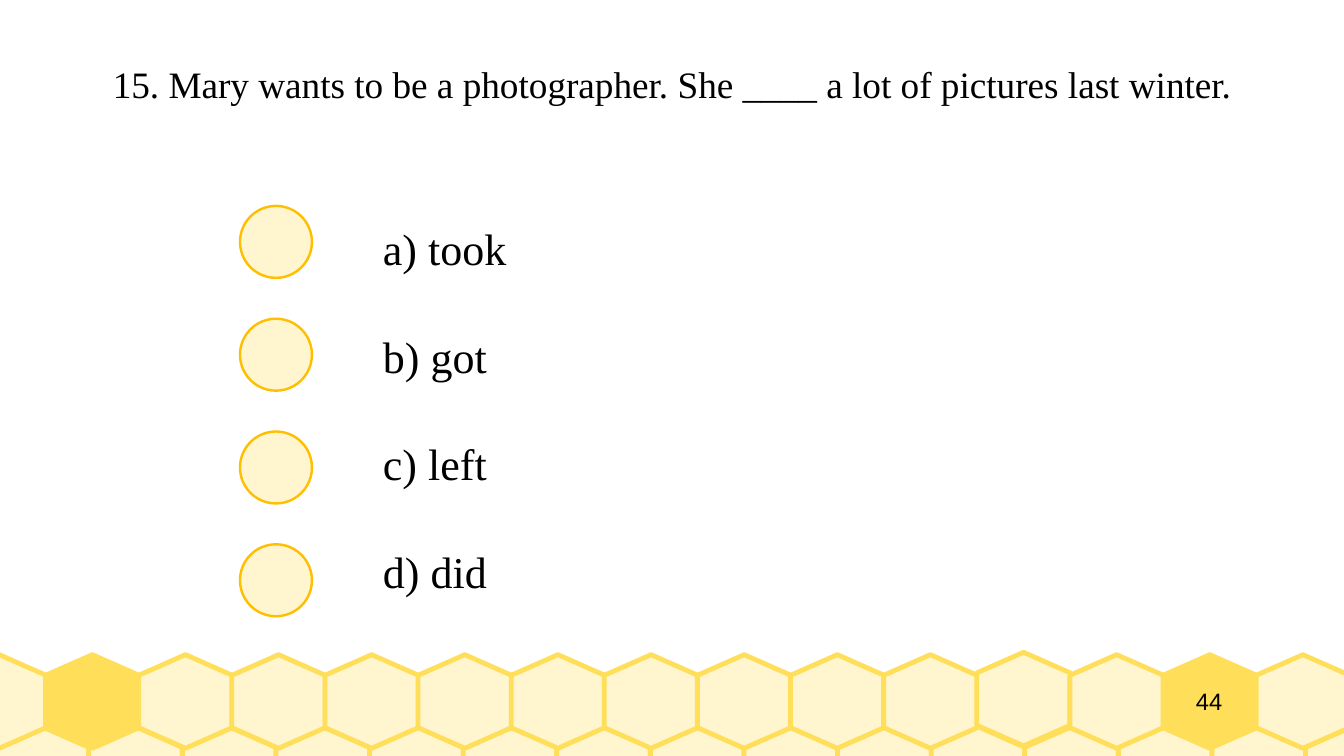
import dataclasses

import pptx
import pptx.dml.color
import pptx.enum.shapes
import pptx.enum.text
import pptx.util

Cm = pptx.util.Cm
Pt = pptx.util.Pt


@dataclasses.dataclass(frozen=True)
class Theme:
    cream: str = "FFF5CE"
    honey: str = "FFDE59"
    amber: str = "FFBF00"
    ink: str = "000000"
    text_font: str = "Times New Roman"
    number_font: str = "Arial"
    title_size: int = 22
    option_size: int = 26
    number_size: int = 14
    comb_line: float = 2.83
    circle_line: float = 1.42


@dataclasses.dataclass(frozen=True)
class CombRow:
    left: float
    top: float
    pitch: float
    highlighted: tuple[int, ...] = ()
    raised: tuple[int, ...] = ()


THEME = Theme()
CELL_SIZE = 1.95
CELL_SHOULDER = 0.43
CELLS_PER_ROW = 15
RAISE = 0.05

COMB_ROWS = (
    CombRow(left=-0.1, top=15.14, pitch=1.95),
    CombRow(left=-0.99, top=13.64, pitch=1.94, highlighted=(1, 13), raised=(11,)),
)

QUESTION = "15. Mary wants to be a photographer. She ____ a lot of pictures last winter."
OPTIONS = ("a) took", "b) got", "c) left", "d) did")
PAGE_NUMBER = "44"

CIRCLE_LEFT, CIRCLE_TOP, CIRCLE_SIZE, CIRCLE_PITCH = 5, 4.29, 1.5, 2.35


def paint(shape, fill: str, line: str, width: float) -> None:
    shape.shadow.inherit = False
    shape.fill.solid()
    shape.fill.fore_color.rgb = pptx.dml.color.RGBColor.from_string(fill)
    shape.line.color.rgb = pptx.dml.color.RGBColor.from_string(line)
    shape.line.width = Pt(width)


def prepare_frame(shape, anchor: pptx.enum.text.MSO_ANCHOR, margin_top: float = 0):
    """Give the text frame no insets, fixed size and wrapping, and return it."""
    frame = shape.text_frame
    frame.word_wrap = True
    frame.auto_size = pptx.enum.text.MSO_AUTO_SIZE.NONE
    frame.vertical_anchor = anchor
    frame.margin_left = frame.margin_right = frame.margin_bottom = 0
    frame.margin_top = Pt(margin_top)
    return frame


def add_run(paragraph, text: str, size: int, font: str) -> None:
    run = paragraph.add_run()
    run.text = text
    run.font.size = Pt(size)
    run.font.name = font
    run.font.color.rgb = pptx.dml.color.RGBColor.from_string(THEME.ink)


def write_centred(shape, text: str, size: int, font: str) -> None:
    frame = prepare_frame(shape, pptx.enum.text.MSO_ANCHOR.MIDDLE)
    paragraph = frame.paragraphs[0]
    paragraph.alignment = pptx.enum.text.PP_ALIGN.CENTER
    add_run(paragraph, text, size, font)


def add_cell(slide, left: float, top: float, fill: str) -> None:
    middle, right = left + CELL_SIZE / 2, left + CELL_SIZE
    bottom = top + CELL_SIZE
    upper, lower = top + CELL_SHOULDER, bottom - CELL_SHOULDER
    outline = [(left, upper), (left, lower), (middle, bottom),
               (right, lower), (right, upper)]
    builder = slide.shapes.build_freeform(Cm(middle), Cm(top))
    builder.add_line_segments([(Cm(x), Cm(y)) for x, y in outline], close=True)
    paint(builder.convert_to_shape(), fill, THEME.honey, THEME.comb_line)


def add_comb_row(slide, row: CombRow) -> None:
    for index in range(CELLS_PER_ROW):
        top = row.top - RAISE if index in row.raised else row.top
        fill = THEME.honey if index in row.highlighted else THEME.cream
        add_cell(slide, row.left + index * row.pitch, top, fill)


def add_title(slide) -> None:
    title = slide.shapes.title
    title.left, title.top = Cm(1.5), Cm(0.46)
    title.width, title.height = Cm(25), Cm(2.56)
    write_centred(title, QUESTION, THEME.title_size, THEME.text_font)


def add_options(slide) -> None:
    box = slide.shapes.add_textbox(Cm(7.98), Cm(4.5), Cm(19), Cm(8))
    frame = prepare_frame(box, pptx.enum.text.MSO_ANCHOR.TOP, margin_top=3.5)
    for index, option in enumerate(OPTIONS):
        paragraph = frame.add_paragraph() if index else frame.paragraphs[0]
        if index:
            paragraph.space_before = Pt(32.3)
        add_run(paragraph, option, THEME.option_size, THEME.text_font)

        circle = slide.shapes.add_shape(
            pptx.enum.shapes.MSO_SHAPE.OVAL,
            Cm(CIRCLE_LEFT), Cm(CIRCLE_TOP + index * CIRCLE_PITCH),
            Cm(CIRCLE_SIZE), Cm(CIRCLE_SIZE))
        paint(circle, THEME.cream, THEME.amber, THEME.circle_line)


def main() -> None:
    presentation = pptx.Presentation()
    presentation.slide_width, presentation.slide_height = Cm(28), Cm(15.75)
    slide = presentation.slides.add_slide(presentation.slide_layouts[5])
    for row in COMB_ROWS:
        add_comb_row(slide, row)
    number = slide.shapes.add_textbox(Cm(23.6), Cm(13.64), Cm(3.18), Cm(CELL_SIZE))
    write_centred(number, PAGE_NUMBER, THEME.number_size, THEME.number_font)
    add_title(slide)
    add_options(slide)
    presentation.save("out.pptx")


if __name__ == "__main__":
    main()
